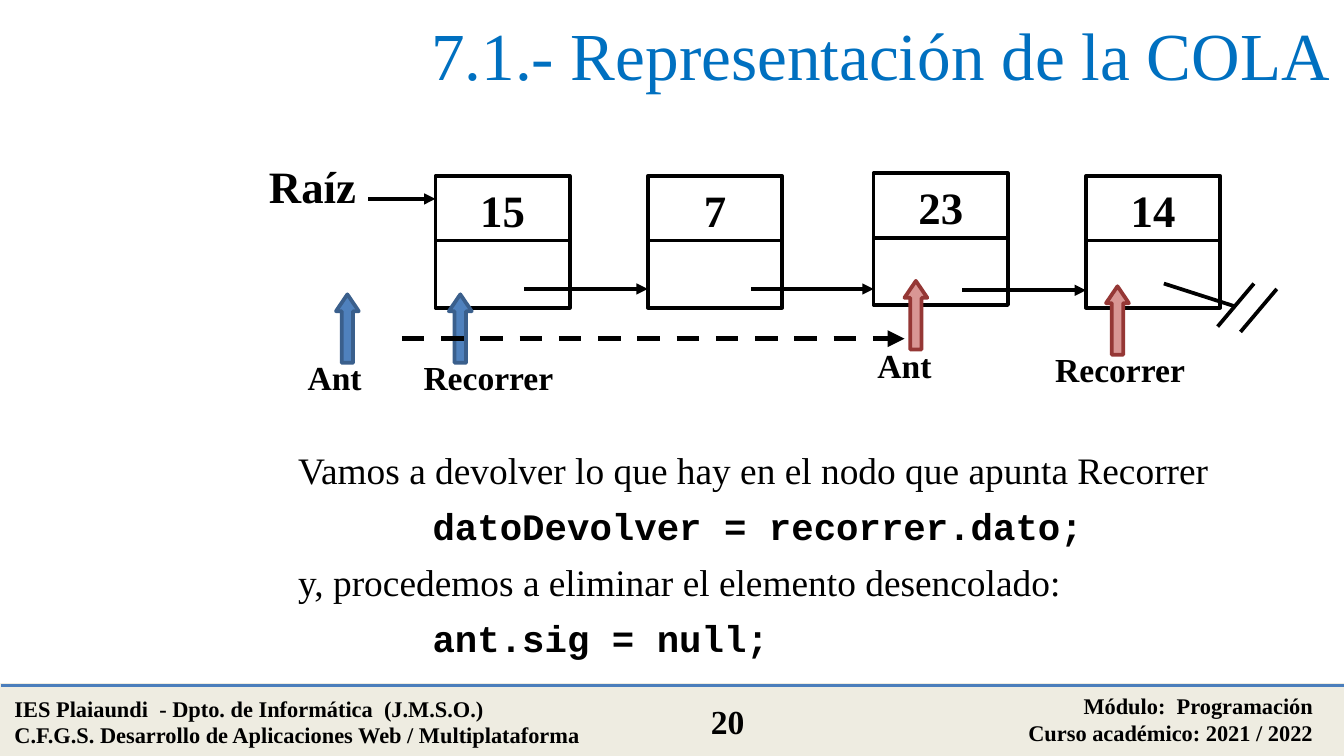
import pptx
import pptx.util
import pptx.dml.color
import pptx.enum.dml
import pptx.enum.shapes
import pptx.enum.text
from pptx.oxml.ns import qn
from lxml import etree

WIDTH = 10
HEIGHT = WIDTH * 9 / 16
SERIF, MONO = "Times New Roman", "Courier New"
BLACK, WHITE, BEIGE = "000000", "FFFFFF", "EEECE1"
TITLE_BLUE, RULE_BLUE = "0070C0", "4B7EBC"
BLUE = ("4F81BD", "3A5F8C")
RED = ("D99694", "953735")
LEFT, CENTER, RIGHT = (pptx.enum.text.PP_ALIGN.LEFT, pptx.enum.text.PP_ALIGN.CENTER,
                       pptx.enum.text.PP_ALIGN.RIGHT)

TITLE = "7.1.- Representación de la COLA"
FOOTER_TOP = 5.1
FOOTERS = [
    (["IES Plaiaundi  - Dpto. de Informática  (J.M.S.O.)",
      "C.F.G.S. Desarrollo de Aplicaciones Web / Multiplataforma"],
     (0.01, 5.12, 4.66, 0.5), 12, LEFT),
    (["Módulo:  Programación", "Curso académico: 2021 / 2022"],
     (5.87, FOOTER_TOP, 4, 0.5), 12, RIGHT),
    (["20"], (5.01, 5.17, 0.81, 0.4), 18, CENTER),
]
CELL_WIDTH, CELL_HEIGHT, CELL_STEP = 1, 0.5, 0.48
NODES = [("15", 3.24, 1.31), ("7", 4.82, 1.31), ("23", 6.5, 1.29), ("14", 8.08, 1.31)]
LINKS = [(2.74, 1.48, 3.24), (3.9, 2.15, 4.82), (5.59, 2.15, 6.5), (7.16, 2.16, 8.08)]
NULL_MARK = [(8.66, 2.11, 9.19, 2.28), (9.06, 2.43, 9.33, 2.11), (9.23, 2.47, 9.5, 2.15)]
POINTER_WIDTH, POINTER_HEIGHT = 0.17, 0.51
POINTERS = [
    ("Ant", 2.5, 2.19, BLUE, 2.12, 2.61, 0.74),
    ("Recorrer", 3.34, 2.19, BLUE, 3.05, 2.61, 1.17),
    ("Ant", 6.73, 2.09, RED, 6.36, 2.52, 0.74),
    ("Recorrer", 8.23, 2.13, RED, 7.75, 2.55, 1.17),
]
EXPLANATION = [
    ("Vamos a devolver lo que hay en el nodo que apunta Recorrer", False),
    ("datoDevolver = recorrer.dato;", True),
    ("y, procedemos a eliminar el elemento desencolado:", False),
    ("ant.sig = null;", True),
]


def color(value):
    return pptx.dml.color.RGBColor.from_string(value)


def inches(*values):
    return [pptx.util.Inches(value) for value in values]


def write(para, text, size=18, font=SERIF, ink=BLACK, bold=True, align=CENTER,
          before=0, indent=0):
    if indent:
        para._p.get_or_add_pPr().set("marL", str(pptx.util.Inches(indent)))
    para.alignment = align
    para.space_before = pptx.util.Pt(before)
    span = para.add_run()
    span.text = text
    span.font.name = font
    span.font.size = pptx.util.Pt(size)
    span.font.bold = bold
    span.font.color.rgb = color(ink)


def add_paragraphs(frame, count):
    return [frame.paragraphs[0]] + [frame.add_paragraph() for _ in range(count - 1)]


def add_text(page, lines, area, **style):
    box = page.shapes.add_textbox(*inches(*area))
    box.text_frame.word_wrap = True
    for para, line in zip(add_paragraphs(box.text_frame, len(lines)), lines):
        write(para, line, **style)


def add_block(page, kind, area, fill, outline):
    shape = page.shapes.add_shape(kind, *inches(*area))
    shape.shadow.inherit = False
    shape.fill.solid()
    shape.fill.fore_color.rgb = color(fill)
    shape.line.color.rgb = color(outline)
    shape.line.width = pptx.util.Pt(2)
    return shape


def add_line(page, ends, ink=BLACK, width=2, arrow=False, dashed=False):
    line = page.shapes.add_connector(pptx.enum.shapes.MSO_CONNECTOR.STRAIGHT, *inches(*ends))
    line.line.color.rgb = color(ink)
    line.line.width = pptx.util.Pt(width)
    if dashed:
        line.line.dash_style = pptx.enum.dml.MSO_LINE.DASH
    if arrow:
        etree.SubElement(line.line._get_or_add_ln(), qn("a:tailEnd"), type="triangle")
    etree.SubElement(line._element.spPr, qn("a:effectLst"))


def add_title(page):
    title = page.shapes.title
    title.left, title.top, title.width, title.height = inches(0.01, -0.02, 9.99, 0.84)
    title.text_frame.vertical_anchor = pptx.enum.text.MSO_ANCHOR.MIDDLE
    write(title.text_frame.paragraphs[0], TITLE, size=36, ink=TITLE_BLUE, bold=False,
          align=RIGHT)


def add_footer(page):
    add_block(page, pptx.enum.shapes.MSO_SHAPE.RECTANGLE,
              (0.01, FOOTER_TOP, WIDTH, HEIGHT - FOOTER_TOP), BEIGE, BEIGE)
    add_line(page, (0.01, FOOTER_TOP, WIDTH + 0.01, FOOTER_TOP), ink=RULE_BLUE)
    for lines, area, size, align in FOOTERS:
        add_text(page, lines, area, size=size, align=align)


def add_queue(page):
    for value, left, top in NODES:
        for row, text in enumerate((value, "")):
            cell = add_block(page, pptx.enum.shapes.MSO_SHAPE.RECTANGLE,
                             (left, top + row * CELL_STEP, CELL_WIDTH, CELL_HEIGHT),
                             WHITE, BLACK)
            if text:
                cell.text_frame.vertical_anchor = pptx.enum.text.MSO_ANCHOR.TOP
                write(cell.text_frame.paragraphs[0], text, size=24)
    add_text(page, ["Raíz"], (1.49, 1.13, 1.67, 0.5), size=24)
    for start, height, end in LINKS:
        add_line(page, (start, height, end, height), arrow=True)
    for ends in NULL_MARK:
        add_line(page, ends)


def add_pointers(page):
    for label, left, top, (fill, outline), label_left, label_top, label_width in POINTERS:
        pointer = add_block(page, pptx.enum.shapes.MSO_SHAPE.UP_ARROW,
                            (left, top, POINTER_WIDTH, POINTER_HEIGHT), fill, outline)
        pointer.adjustments[0] = 0.5
        pointer.adjustments[1] = 0.74
        add_text(page, [label], (label_left, label_top, label_width, 0.4))
    add_line(page, (2.99, 2.52, 6.73, 2.52), width=3, arrow=True, dashed=True)


def add_explanation(page):
    box = page.shapes.add_textbox(*inches(2.12, 3.28, 7.35, 1.7))
    box.text_frame.word_wrap = True
    paras = add_paragraphs(box.text_frame, len(EXPLANATION))
    for index, (para, (text, code)) in enumerate(zip(paras, EXPLANATION)):
        write(para, text, size=20, font=MONO if code else SERIF, bold=code, align=LEFT,
              before=6 if index else 0, indent=1 if code else 0)


def main():
    deck = pptx.Presentation()
    deck.slide_width, deck.slide_height = inches(WIDTH, HEIGHT)
    page = deck.slides.add_slide(deck.slide_layouts[5])
    add_title(page)
    add_footer(page)
    add_queue(page)
    add_pointers(page)
    add_explanation(page)
    deck.save("out.pptx")


if __name__ == "__main__":
    main()
